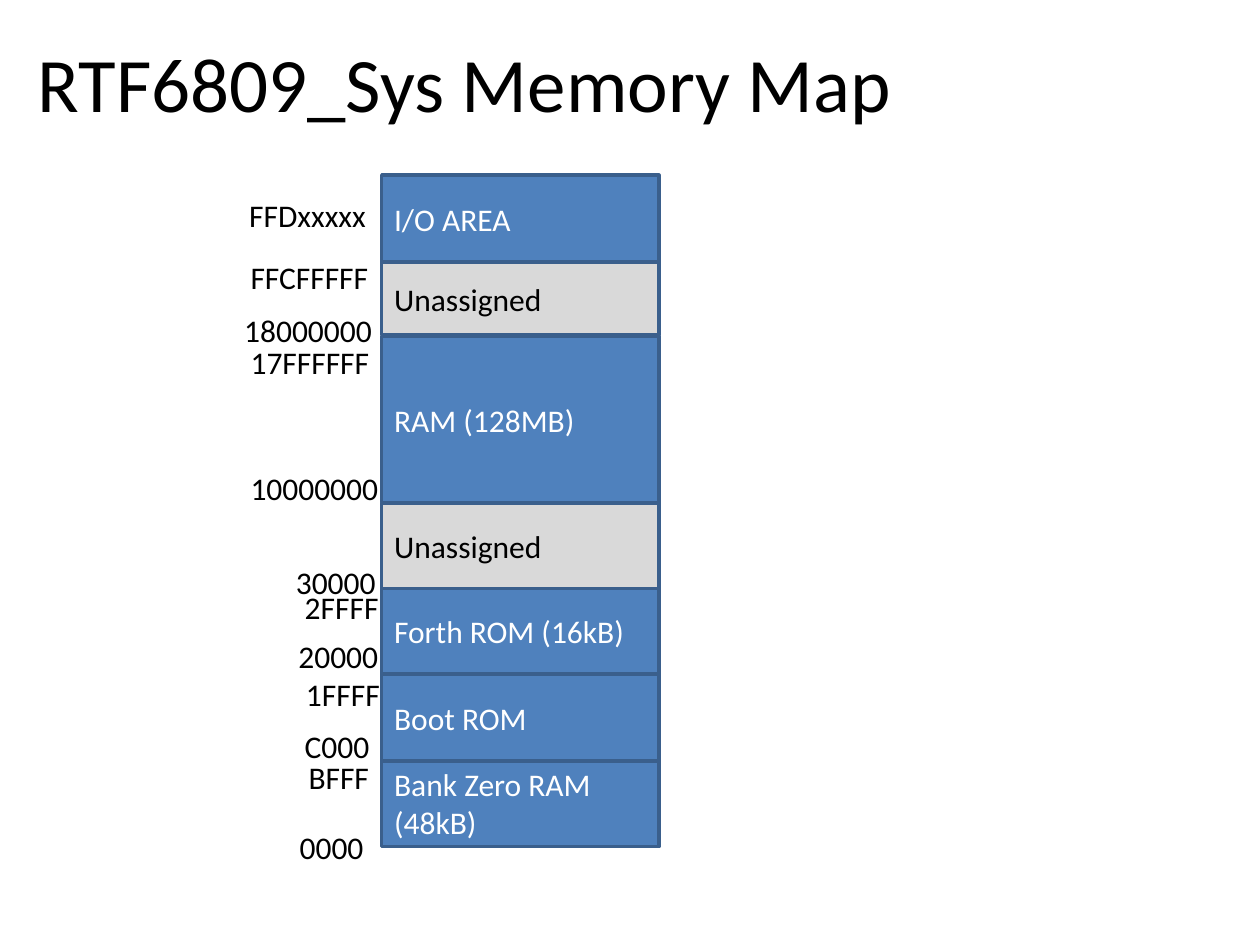
from dataclasses import dataclass

from pptx import Presentation
from pptx.dml.color import RGBColor
from pptx.enum.shapes import MSO_SHAPE
from pptx.enum.text import MSO_ANCHOR, MSO_AUTO_SIZE, PP_ALIGN
from pptx.util import Inches, Pt

FONT = "Calibri"
BLACK, WHITE = "000000", "FFFFFF"
BLUE, GREY, OUTLINE = "4F81BD", "D9D9D9", "3A5F8C"
MAP_LEFT, MAP_WIDTH = 3.03, 2.2
LABEL_HEIGHT = 0.4


@dataclass
class Region:
    name: str
    top: float
    height: float = 0.69
    fill: str = BLUE
    color: str = WHITE


@dataclass
class Address:
    text: str
    left: float
    top: float
    width: float


REGIONS = [
    Region("Bank Zero RAM (48kB)", 6.03),
    Region("Boot ROM", 5.35),
    Region("Forth ROM (16kB)", 4.66),
    Region("I/O AREA", 1.39),
    Region("RAM (128MB)", 2.67, 1.32),
    Region("Unassigned", 2.08, 0.58, GREY, BLACK),
    Region("Unassigned", 3.99, 0.68, GREY, BLACK),
]

ADDRESSES = [
    Address("0000", 2.28, 6.52, 0.71),
    Address("BFFF", 2.35, 5.97, 0.69),
    Address("C000", 2.32, 5.72, 0.72),
    Address("1FFFF", 2.33, 5.31, 0.79),
    Address("20000", 2.27, 5.01, 0.84),
    Address("2FFFF", 2.32, 4.62, 0.79),
    Address("30000", 2.25, 4.42, 0.84),
    Address("10000000", 1.89, 3.67, 1.23),
    Address("17FFFFFF", 1.89, 2.67, 1.15),
    Address("18000000", 1.84, 2.42, 1.23),
    Address("FFCFFFFF", 1.89, 2, 1.14),
    Address("FFDxxxxx", 1.88, 1.51, 1.13),
]


def rgb(value: str) -> RGBColor:
    return RGBColor.from_string(value)


def set_text(sp, text: str, size: int, color: str) -> None:
    tf = sp.text_frame
    tf.text = text
    p = tf.paragraphs[0]
    p.alignment = PP_ALIGN.LEFT
    r = p.runs[0]
    r.font.name = FONT
    r.font.size = Pt(size)
    r.font.color.rgb = rgb(color)


def add_title(s, text: str) -> None:
    sp = s.shapes.add_textbox(Inches(0.2), Inches(0.21), Inches(8.5), Inches(0.87))
    set_text(sp, text, 44, BLACK)
    sp.text_frame.word_wrap = True
    sp.text_frame.vertical_anchor = MSO_ANCHOR.MIDDLE


def add_region(s, region: Region) -> None:
    sp = s.shapes.add_shape(
        MSO_SHAPE.RECTANGLE, Inches(MAP_LEFT), Inches(region.top),
        Inches(MAP_WIDTH), Inches(region.height))
    sp.shadow.inherit = False
    sp.fill.solid()
    sp.fill.fore_color.rgb = rgb(region.fill)
    sp.line.color.rgb = rgb(OUTLINE)
    sp.line.width = Pt(2)
    set_text(sp, region.name, 18, region.color)
    sp.text_frame.word_wrap = True
    sp.text_frame.vertical_anchor = MSO_ANCHOR.MIDDLE


def add_address(s, address: Address) -> None:
    sp = s.shapes.add_textbox(
        Inches(address.left), Inches(address.top),
        Inches(address.width), Inches(LABEL_HEIGHT))
    set_text(sp, address.text, 18, BLACK)
    sp.text_frame.word_wrap = False
    sp.text_frame.auto_size = MSO_AUTO_SIZE.SHAPE_TO_FIT_TEXT


def main() -> None:
    prs = Presentation()
    prs.slide_width, prs.slide_height = Inches(10), Inches(7.5)
    s = prs.slides.add_slide(prs.slide_layouts[6])
    add_title(s, "RTF6809_Sys Memory Map")
    for region in REGIONS:
        add_region(s, region)
    for address in ADDRESSES:
        add_address(s, address)
    prs.save("out.pptx")


if __name__ == "__main__":
    main()
